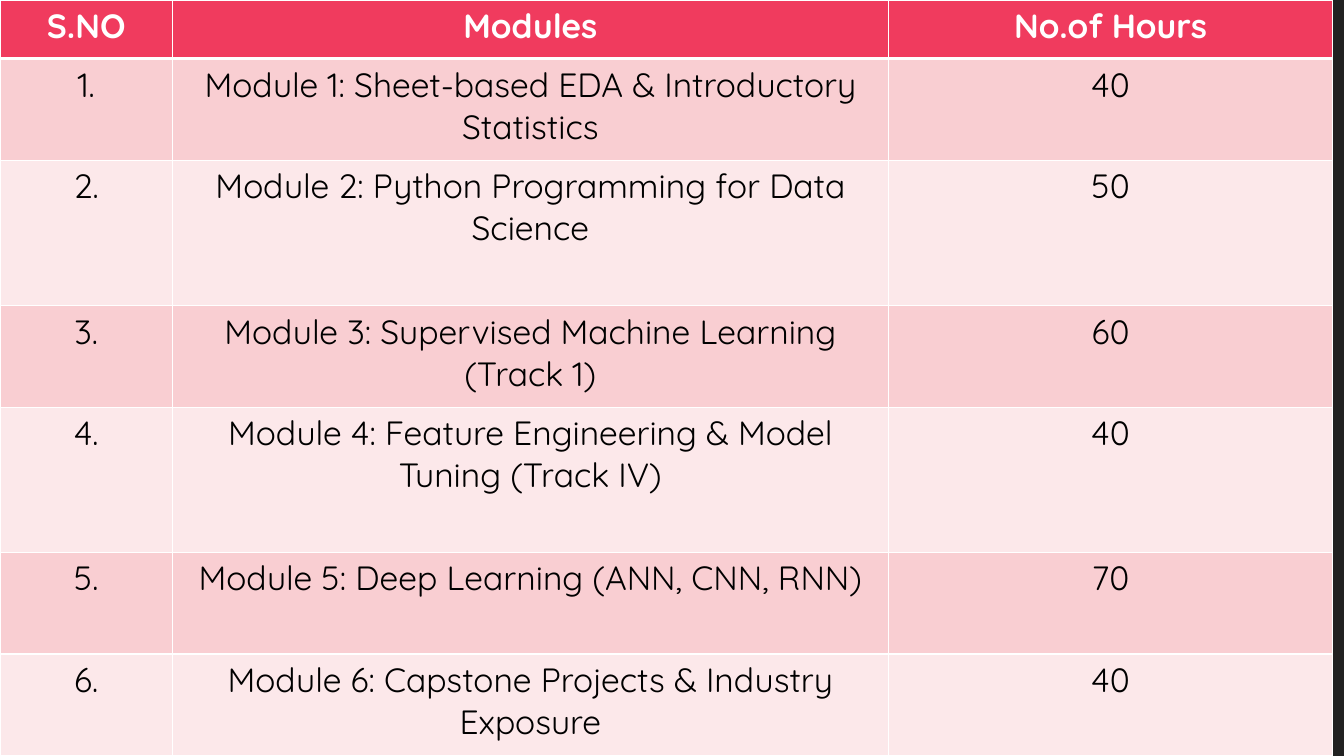
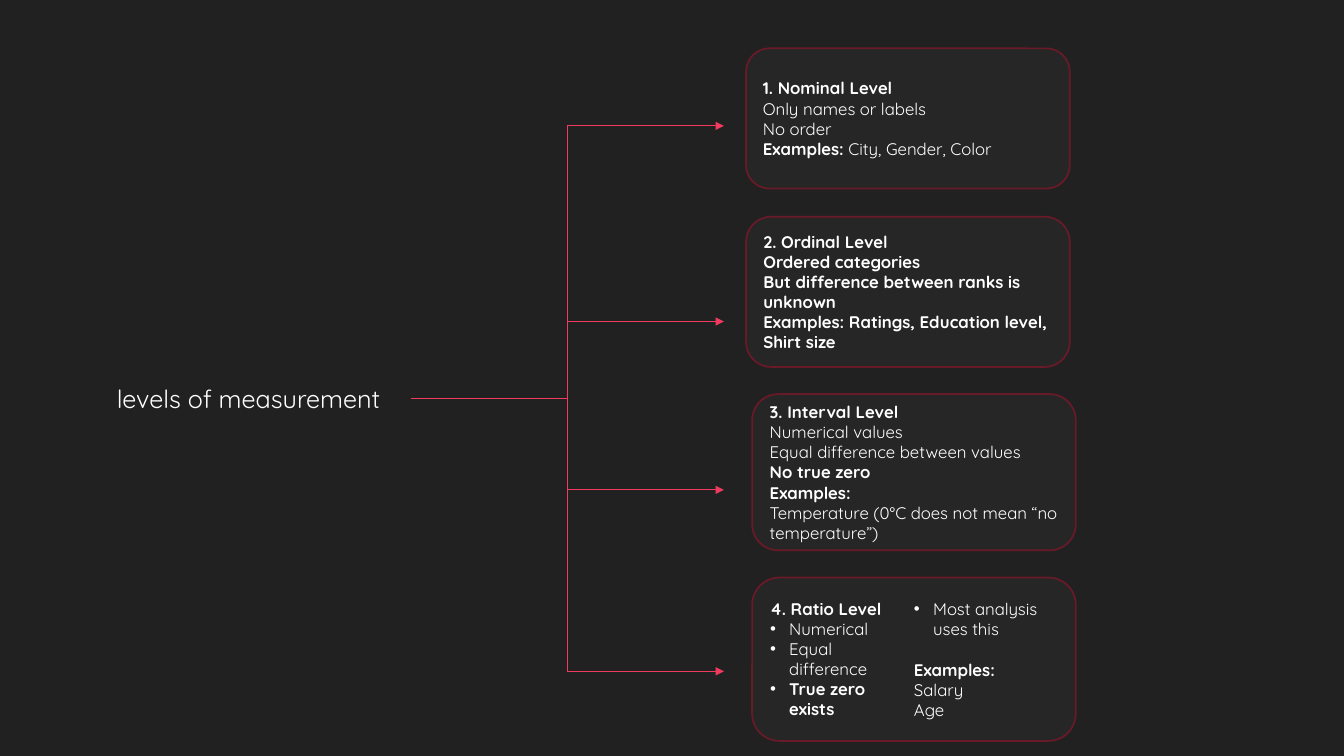
from dataclasses import dataclass

from pptx import Presentation
from pptx.dml.color import RGBColor
from pptx.enum.shapes import MSO_CONNECTOR, MSO_SHAPE
from pptx.enum.text import MSO_ANCHOR, PP_ALIGN
from pptx.oxml import parse_xml
from pptx.oxml.ns import nsdecls, qn
from pptx.oxml.xmlchemy import OxmlElement
from pptx.util import Inches, Pt

ELBOW = MSO_CONNECTOR.ELBOW
ROUND = MSO_SHAPE.ROUNDED_RECTANGLE
MIDDLE = MSO_ANCHOR.MIDDLE
LEFT = PP_ALIGN.LEFT
CENTER = PP_ALIGN.CENTER


@dataclass(frozen=True)
class Theme:
    font: str = "Quicksand"
    back: str = "212121"
    panel: str = "262626"
    edge: str = "691A29"
    accent: str = "F03B5E"
    light: str = "FFFFFF"
    dark: str = "000000"
    bands: tuple = ("F9CED2", "FCE8EA")
    grid: int = 24
    topic: int = 18
    body: int = 12


@dataclass(frozen=True)
class Line:
    text: str
    bold: bool = False
    rest: str = ""
    dot: bool = False
    gap: int = 0


THEME = Theme()

HEADS = ("S.NO", "Modules", "No.of Hours")
MODULES = (
    ("Sheet-based EDA & Introductory Statistics", 40),
    ("Python Programming for Data Science", 50),
    ("Supervised Machine Learning (Track 1)", 60),
    ("Feature Engineering & Model Tuning (Track IV)", 40),
    ("Deep Learning (ANN, CNN, RNN)", 70),
    ("Capstone Projects & Industry Exposure", 40),
)
WIDTHS = (1.71, 7.1, 4.41)
HEIGHTS = (0.58, 1.01, 1.44, 1.01, 1.44, 1.01, 1.01)

LEVELS = (
    ((7.4, 0.48, 3.21, 1.39), 1.25, 1, (
        Line("1. Nominal Level", True),
        Line("Only names or labels"),
        Line("No order"),
        Line("Examples:", True, " City, Gender, Color"),
    )),
    ((7.4, 2.15, 3.21, 1.49), 3.19, 1, (
        Line("2. Ordinal Level", True),
        Line("Ordered categories", True),
        Line("But difference between ranks is unknown", True),
        Line("Examples: Ratings, Education level, Shirt size", True),
    )),
    ((7.46, 3.91, 3.21, 1.55), 4.86, 1, (
        Line("3. Interval Level", True),
        Line("Numerical values"),
        Line("Equal difference between values"),
        Line("No true zero", True),
        Line("Examples:", True),
        Line("Temperature (0°C does not mean “no temperature”)"),
    )),
    ((7.46, 5.73, 3.21, 1.62), 6.66, 2, (
        Line("4. Ratio Level", True),
        Line("Numerical", dot=True),
        Line("Equal difference", dot=True),
        Line("True zero exists", True, dot=True),
        Line("Most analysis uses this", dot=True),
        Line("Examples:", True, gap=15),
        Line("Salary"),
        Line("Age"),
    )),
)


def rgb(code):
    return RGBColor.from_string(code)


def apply(target, values):
    for name, value in values.items():
        setattr(target, name, value)


def paint(fill, code):
    fill.solid()
    fill.fore_color.rgb = rgb(code)


def add_run(para, text, size, color, bold=False):
    run = para.add_run()
    run.text = text
    apply(run.font, {"name": THEME.font, "size": Pt(size), "bold": bold})
    run.font.color.rgb = rgb(color)


def add_dot(para):
    props = para._p.get_or_add_pPr()
    indent = Inches(0.19)
    props.set("marL", str(indent))
    props.set("indent", str(-indent))
    props.append(parse_xml(f'<a:buFont {nsdecls("a")} typeface="Arial"/>'))
    props.append(parse_xml(f'<a:buChar {nsdecls("a")} char="•"/>'))


def fill_text(frame, lines, size):
    for row, line in enumerate(lines):
        para = frame.add_paragraph() if row else frame.paragraphs[0]
        apply(para, {"alignment": LEFT, "space_before": Pt(line.gap)})
        add_run(para, line.text, size, THEME.light, line.bold)
        if line.rest:
            add_run(para, line.rest, size, THEME.light)
        if line.dot:
            add_dot(para)


def add_edges(cell, edges):
    props = cell._tc.get_or_add_tcPr()
    for spot, (side, width) in enumerate(edges.items()):
        props.insert(spot, parse_xml(
            f'<a:ln{side} {nsdecls("a")} w="{Pt(width)}"><a:solidFill>'
            f'<a:srgbClr val="{THEME.light}"/></a:solidFill></a:ln{side}>'))


def add_grid(slide, rows):
    frame = slide.shapes.add_table(
        len(rows), len(WIDTHS), 0, 0,
        Inches(sum(WIDTHS)), Inches(sum(HEIGHTS)))
    table = frame.table
    for column, width in zip(table.columns, WIDTHS):
        column.width = Inches(width)
    for row, height in zip(table.rows, HEIGHTS):
        row.height = Inches(height)
    for r, row in enumerate(rows):
        head = r == 0
        for c, text in enumerate(row):
            cell = table.cell(r, c)
            paint(cell.fill, THEME.accent if head else THEME.bands[(r - 1) % 2])
            add_edges(cell, {"L": 1, "R": 1, "T": 3 if r == 1 else 1,
                             "B": 3 if head else 1})
            para = cell.text_frame.paragraphs[0]
            para.alignment = CENTER
            add_run(para, text, THEME.grid,
                    THEME.light if head else THEME.dark, head)


def add_topic(slide, text, place):
    box = slide.shapes.add_textbox(*map(Inches, place))
    box.text_frame.word_wrap = True
    fill_text(box.text_frame, [Line(text)], THEME.topic)


def add_arrow(slide, start, end):
    arrow = slide.shapes.add_connector(ELBOW, *map(Inches, (*start, *end)))
    arrow.line.color.rgb = rgb(THEME.accent)
    arrow.line.width = Pt(0.75)
    props = arrow.element.spPr
    tip = OxmlElement("a:tailEnd")
    tip.set("type", "triangle")
    props.find(qn("a:ln")).append(tip)
    props.append(OxmlElement("a:effectLst"))


def add_card(slide, place, lines, columns):
    card = slide.shapes.add_shape(ROUND, *map(Inches, place))
    card.shadow.inherit = False
    paint(card.fill, THEME.panel)
    card.line.color.rgb = rgb(THEME.edge)
    card.line.width = Pt(1.25)
    frame = card.text_frame
    apply(frame, {"word_wrap": True, "vertical_anchor": MIDDLE})
    if columns > 1:
        frame._txBody.bodyPr.set("numCol", str(columns))
    fill_text(frame, lines, THEME.body)


def draw_hours(slide):
    rows = [HEADS]
    for number, (title, hours) in enumerate(MODULES, 1):
        rows.append((f"{number}.", f"Module {number}: {title}", str(hours)))
    add_grid(slide, rows)


def draw_levels(slide):
    add_topic(slide, "levels of measurement", (1.06, 3.75, 3.02, 0.4))
    for place, level, columns, lines in LEVELS:
        add_arrow(slide, (4.08, 3.95), (7.18, level))
        add_card(slide, place, lines, columns)


def main():
    deck = Presentation()
    apply(deck, {"slide_width": Inches(13.33), "slide_height": Inches(7.5)})
    paint(deck.slide_master.background.fill, THEME.back)
    blank = deck.slide_layouts[6]
    for draw in (draw_hours, draw_levels):
        draw(deck.slides.add_slide(blank))
    deck.save("out.pptx")


if __name__ == "__main__":
    main()
